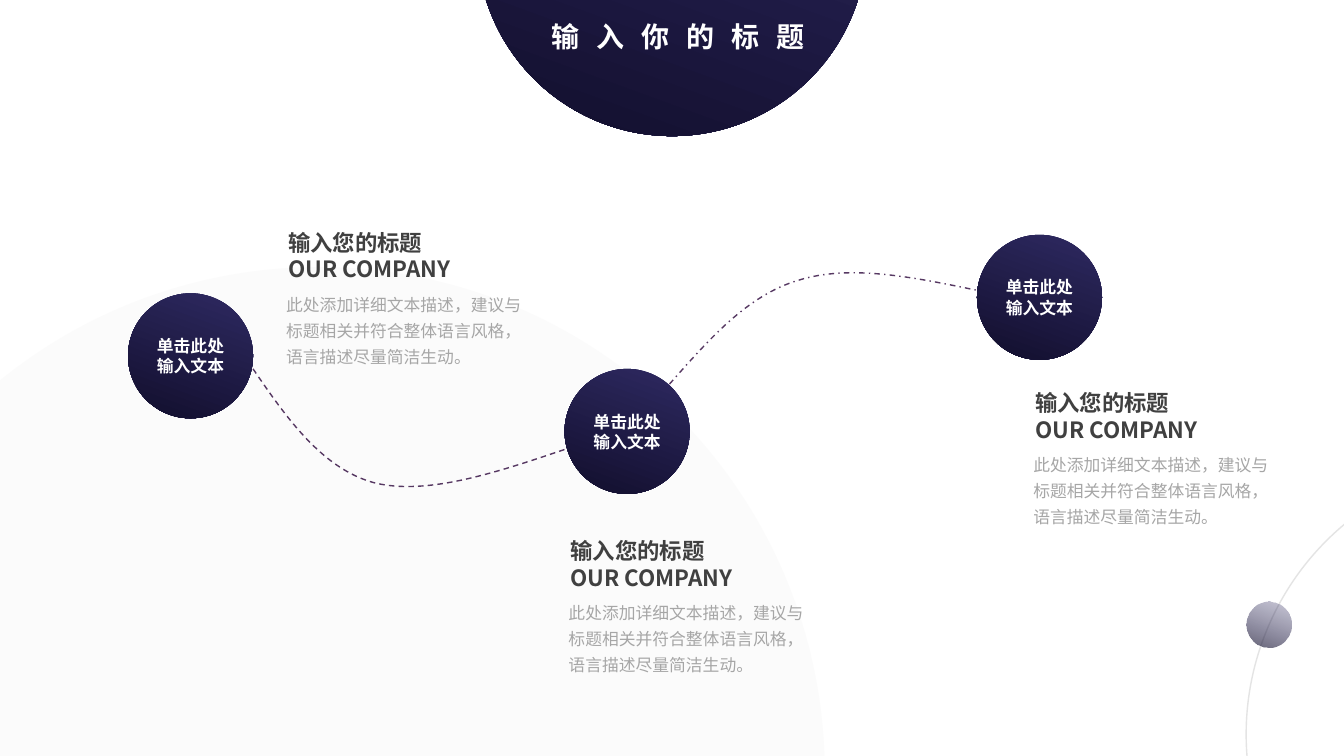
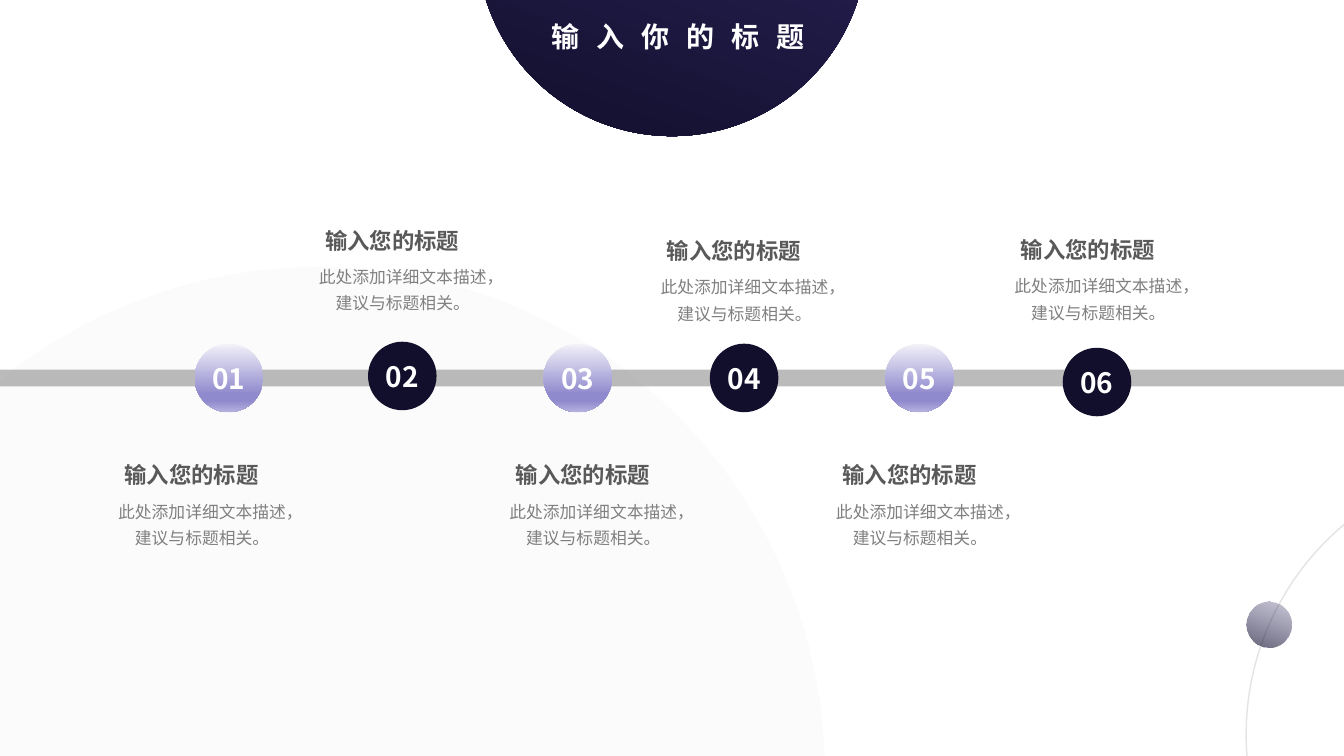
from lxml.etree import SubElement
from pptx import Presentation
from pptx.dml.color import RGBColor
from pptx.enum.dml import MSO_LINE
from pptx.enum.shapes import MSO_CONNECTOR, MSO_SHAPE
from pptx.enum.text import MSO_ANCHOR, MSO_AUTO_SIZE, PP_ALIGN
from pptx.oxml.ns import qn
from pptx.util import Pt

PX = 9144
W, H = 1333, 750
FONT = "Noto Sans CJK SC"
WHITE, NAVY, PLUM = "FFFFFF", "120F2D", "563862"
DARK, SLATE, GRAY, SILVER, PALE = "404040", "595959", "808080", "A6A6A6", "F2F2F2"
NIGHT = {"stops": [(0, "2E2961", 100), (100, NAVY, 100)], "angle": 110}
HAZE = {"stops": [(0, "2E2961", 26), (100, NAVY, 65)], "angle": 110}
LILAC = {"stops": [(0, "F3F2F9", 100), (74, "8F89CD", 100),
                   (83, "8F89CD", 100), (100, "B5B1DE", 100)], "angle": 90}

TITLE = "输入你的标题"
HEADING = "输入您的标题"
NODE_LABEL = "单击此处输入文本"
LONG_BODY = "此处添加详细文本描述，建议与标题相关并符合整体语言风格，语言描述尽量简洁生动。"
SHORT_BODY = "此处添加详细文本描述，建议与标题相关。"

NODE_SIZE = 124
NODES = [
    {"node": (127, 291), "text": (276, 222)},
    {"node": (560, 366), "text": (556, 528)},
    {"node": (969, 233), "text": (1017, 381)},
]
CURVES = [
    (MSO_LINE.DASH, [(251, 366), (285, 416), (320, 465), (371, 479),
                     (423, 492), (492, 469), (560, 446)]),
    (MSO_LINE.DASH_DOT, [(664, 381), (703, 337), (741, 293), (792, 278),
                         (843, 262), (906, 275), (969, 288)]),
]

STOP_SIZE = 68
STOPS = [
    {"stop": (193, 341), "text": (104, 453)},
    {"stop": (365, 339), "text": (303, 220)},
    {"stop": (539, 341), "text": (492, 453)},
    {"stop": (704, 341), "text": (642, 230)},
    {"stop": (878, 341), "text": (816, 453)},
    {"stop": (1054, 345), "text": (993, 229)},
]


def px(*values):
    return [v * PX for v in values]


def rgb(color):
    return RGBColor.from_string(color)


def paint(fill, color, parent, alpha=100):
    fill.solid()
    fill.fore_color.rgb = rgb(color)
    if alpha < 100:
        clr = parent.find(qn("a:solidFill")).find(qn("a:srgbClr"))
        SubElement(clr, qn("a:alpha"), val=str(alpha * 1000))


def paint_gradient(fill, stops, angle):
    fill.gradient()
    grad = fill._xPr.find(qn("a:gradFill"))
    for child in list(grad):
        grad.remove(child)
    gs_list = SubElement(grad, qn("a:gsLst"))
    for position, color, alpha in stops:
        gs = SubElement(gs_list, qn("a:gs"), pos=str(position * 1000))
        clr = SubElement(gs, qn("a:srgbClr"), val=color)
        if alpha < 100:
            SubElement(clr, qn("a:alpha"), val=str(alpha * 1000))
    SubElement(grad, qn("a:lin"), ang=str(angle * 60000), scaled="0")


def write(tf, text, size=12, color=WHITE, bold=False, align=PP_ALIGN.LEFT,
          leading=None, tracking=0):
    for i, line in enumerate(text.split("\n")):
        p = tf.paragraphs[0] if i == 0 else tf.add_paragraph()
        p.alignment = align
        if leading:
            p.line_spacing = leading
        r = p.add_run()
        r.text = line
        r.font.size, r.font.bold, r.font.name = Pt(size), bold, FONT
        r.font.color.rgb = rgb(color)
        rPr = r._r.get_or_add_rPr()
        SubElement(rPr, qn("a:ea"), typeface=FONT)
        if tracking:
            rPr.set("spc", str(tracking * 100))


def no_margins(tf):
    tf.margin_left = tf.margin_top = tf.margin_right = tf.margin_bottom = 0


def add_circle(s, x, y, size, fill=None, alpha=100):
    sp = s.shapes.add_shape(MSO_SHAPE.OVAL, *px(x, y, size, size))
    sp.shadow.inherit = False
    sp.line.fill.background()
    if fill is None:
        sp.fill.background()
    elif isinstance(fill, dict):
        paint_gradient(sp.fill, **fill)
    else:
        paint(sp.fill, fill, sp._element.spPr, alpha)
    return sp


def style_line(line, color, width, alpha=100):
    line.width = Pt(width)
    paint(line.fill, color, line._get_or_add_ln(), alpha)


def add_text(s, x, y, w, h, text, **fmt):
    tf = s.shapes.add_textbox(*px(x, y, w, h)).text_frame
    tf.word_wrap = True
    tf.auto_size = MSO_AUTO_SIZE.SHAPE_TO_FIT_TEXT
    write(tf, text, **fmt)


def add_curve(s, points, dash):
    builder = s.shapes.build_freeform(*points[0], scale=PX)
    builder.add_line_segments(points[1:], close=False)
    sp = builder.convert_to_shape()
    sp.shadow.inherit = False
    sp.fill.background()
    style_line(sp.line, PLUM, 1)
    sp.line.dash_style = dash
    path_el = next(sp._element.iter(qn("a:path")))
    segments = path_el.findall(qn("a:lnTo"))
    for i in range(0, len(segments), 3):
        bezier = SubElement(path_el, qn("a:cubicBezTo"))
        for segment in segments[i:i + 3]:
            bezier.append(segment[0])
            path_el.remove(segment)


def new_slide(prs):
    s = prs.slides.add_slide(prs.slide_layouts[5])
    title = s.shapes.title
    dome = add_circle(s, 473, -252, 387, NIGHT)
    title._element.addprevious(dome._element)
    title.left, title.top, title.width, title.height = px(454, 19, 437, 51)
    tf = title.text_frame
    no_margins(tf)
    tf.word_wrap = False
    tf.auto_size = MSO_AUTO_SIZE.NONE
    tf.vertical_anchor = MSO_ANCHOR.TOP
    write(tf, TITLE, size=20, bold=True, align=PP_ALIGN.CENTER, tracking=12)
    ring = add_circle(s, 1236, 457, 543)
    style_line(ring.line, SILVER, 1, 30)
    add_circle(s, 1236, 597, 45, HAZE)
    add_circle(s, -185, 265, 1003, PALE, 29)
    return s


def build_path_slide(prs):
    s = new_slide(prs)
    for dash, points in CURVES:
        add_curve(s, points, dash)
    for item in NODES:
        tf = add_circle(s, *item["node"], NODE_SIZE, NIGHT).text_frame
        tf.word_wrap = True
        tf.vertical_anchor = MSO_ANCHOR.MIDDLE
        write(tf, NODE_LABEL, bold=True, align=PP_ALIGN.CENTER)
        x, y = item["text"]
        add_text(s, x, y, 211, 64, HEADING + "\nOUR COMPANY",
                 size=16, color=DARK, bold=True)
        add_text(s, x - 2, y + 59, 263, 89, LONG_BODY, color=SILVER, leading=1.3)


def build_timeline_slide(prs):
    s = new_slide(prs)
    axis = s.shapes.add_connector(MSO_CONNECTOR.STRAIGHT, *px(0, 375, W, 375))
    style_line(axis.line, GRAY, 12, 53)
    SubElement(axis._element.spPr, qn("a:effectLst"))
    for number, item in enumerate(STOPS, 1):
        fill = LILAC if number % 2 else NAVY
        tf = add_circle(s, *item["stop"], STOP_SIZE, fill).text_frame
        no_margins(tf)
        tf.word_wrap = False
        tf.vertical_anchor = MSO_ANCHOR.MIDDLE
        write(tf, f"{number:02d}", size=20, bold=True, align=PP_ALIGN.CENTER)
        x, y = item["text"]
        add_text(s, x, y, 172, 37, HEADING, size=16, color=SLATE, bold=True,
                 align=PP_ALIGN.CENTER)
        add_text(s, x, y + 34, 193, 60, SHORT_BODY, color=GRAY, leading=1.3,
                 align=PP_ALIGN.CENTER)


def main():
    prs = Presentation()
    prs.slide_width, prs.slide_height = px(W, H)
    build_path_slide(prs)
    build_timeline_slide(prs)
    prs.save("out.pptx")


if __name__ == "__main__":
    main()
